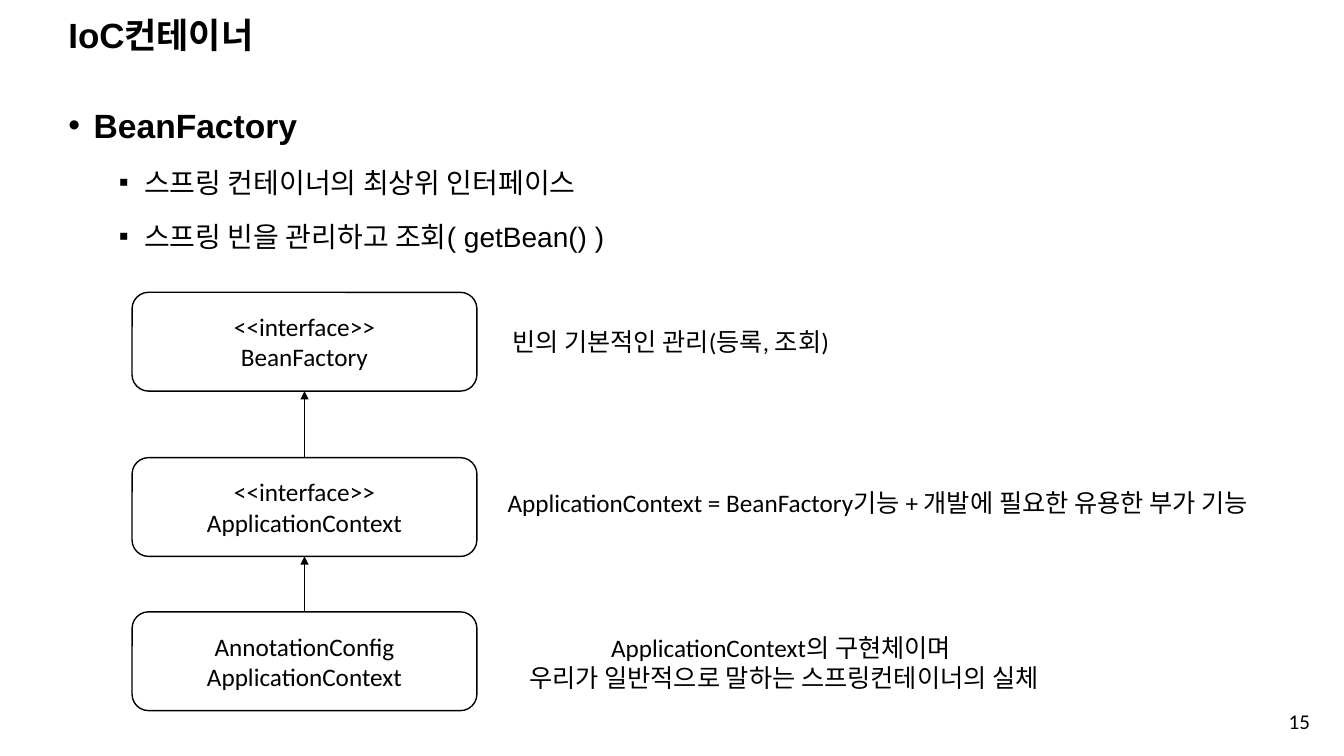
from dataclasses import dataclass

from lxml import etree
from pptx import Presentation
from pptx.dml.color import RGBColor
from pptx.enum.shapes import MSO_CONNECTOR, MSO_SHAPE
from pptx.enum.text import MSO_ANCHOR, MSO_AUTO_SIZE, PP_ALIGN
from pptx.oxml.ns import qn
from pptx.util import Emu, Pt

ROUNDED = MSO_SHAPE.ROUNDED_RECTANGLE
STRAIGHT = MSO_CONNECTOR.STRAIGHT
TOP, MIDDLE = MSO_ANCHOR.TOP, MSO_ANCHOR.MIDDLE
LEFT, CENTER, RIGHT = PP_ALIGN.LEFT, PP_ALIGN.CENTER, PP_ALIGN.RIGHT
GROW = MSO_AUTO_SIZE.SHAPE_TO_FIT_TEXT
TOP_SIDE, BOTTOM_SIDE = 0, 2
PX = 9144  # 100 px to the inch


@dataclass(frozen=True)
class Theme:
    ink: RGBColor = RGBColor(0, 0, 0)
    paper: RGBColor = RGBColor(255, 255, 255)
    heading_font: str = "Arial"
    label_font: str = "Calibri"
    title_size: int = 25
    topic_size: int = 24
    point_size: int = 20
    label_size: int = 18
    number_size: int = 15
    outline: float = 1
    arrow_line: float = 0.5


def px(*lengths):
    return [Emu(length * PX) for length in lengths]


class Page:
    def __init__(self, deck, theme):
        self.theme = theme
        self.slide = deck.slides.add_slide(deck.slide_layouts[6])
        self.shapes = self.slide.shapes
        self.slide.background.fill.solid()
        self.slide.background.fill.fore_color.rgb = theme.paper

    def add_span(self, para, text, size, font, bold=False):
        span = para.add_run()
        span.text = text
        span.font.size = Pt(size)
        span.font.name = font
        span.font.bold = bold
        span.font.color.rgb = self.theme.ink

    def write_lines(self, frame, lines, size, font, align=LEFT, bold=False):
        for index, line in enumerate(lines):
            para = frame.paragraphs[0] if index == 0 else frame.add_paragraph()
            para.alignment = align
            self.add_span(para, line, size, font, bold)

    def text_frame(self, place, anchor=TOP):
        frame = self.shapes.add_textbox(*px(*place)).text_frame
        frame.word_wrap = True
        frame.vertical_anchor = anchor
        return frame

    def title(self, place, text):
        frame = self.text_frame(place, MIDDLE)
        self.write_lines(frame, [text], self.theme.title_size,
                         self.theme.heading_font, bold=True)
        frame.paragraphs[0].line_spacing = 0.9

    def bullet(self, para, symbol, indent, hanging, space_before):
        para.line_spacing = 1.4
        para.space_before = Pt(space_before)
        properties = para._p.get_or_add_pPr()
        properties.set("marL", str(indent * PX))
        properties.set("indent", str(-hanging * PX))
        font = etree.SubElement(properties, qn("a:buFont"))
        font.set("typeface", self.theme.heading_font)
        etree.SubElement(properties, qn("a:buChar")).set("char", symbol)

    def outline(self, place, topic, points):
        """Write a bold topic with its indented points."""
        theme = self.theme
        frame = self.text_frame(place)
        para = frame.paragraphs[0]
        self.bullet(para, "•", 25, 25, 10)
        self.add_span(para, topic, theme.topic_size, theme.heading_font, True)
        for point in points:
            para = frame.add_paragraph()
            para.level = 1
            self.bullet(para, "▪", 75, 25, 5)
            self.add_span(para, point, theme.point_size, theme.heading_font)

    def type_box(self, place, lines):
        box = self.shapes.add_shape(ROUNDED, *px(*place))
        box.shadow.inherit = False
        box.fill.solid()
        box.fill.fore_color.rgb = self.theme.paper
        box.line.color.rgb = self.theme.ink
        box.line.width = Pt(self.theme.outline)
        box.text_frame.vertical_anchor = MIDDLE
        self.write_lines(box.text_frame, lines, self.theme.label_size,
                         self.theme.label_font, CENTER)
        return box

    def inherits(self, child, parent):
        """Draw an arrow from the top of child to the bottom of parent."""
        arrow = self.shapes.add_connector(STRAIGHT, 0, 0, 0, 0)
        arrow.begin_connect(child, TOP_SIDE)
        arrow.end_connect(parent, BOTTOM_SIDE)
        arrow.line.color.rgb = self.theme.ink
        arrow.line.width = Pt(self.theme.arrow_line)
        head = etree.SubElement(arrow.line._get_or_add_ln(), qn("a:tailEnd"))
        head.set("type", "triangle")
        etree.SubElement(arrow._element.spPr, qn("a:effectLst"))

    def note(self, place, lines):
        frame = self.text_frame(place)
        frame.auto_size = GROW
        self.write_lines(frame, lines, self.theme.label_size,
                         self.theme.label_font, CENTER)

    def page_number(self, place, number):
        self.write_lines(self.text_frame(place, MIDDLE), [number],
                         self.theme.number_size, self.theme.label_font, RIGHT)


def main():
    deck = Presentation()
    deck.slide_width, deck.slide_height = px(1333, 750)
    page = Page(deck, Theme())

    page.title((58, 18, 1150, 38), "IoC컨테이너")
    page.outline((58, 83, 1239, 643), "BeanFactory", [
        "스프링 컨테이너의 최상위 인터페이스",
        "스프링 빈을 관리하고 조회( getBean() )",
    ])
    page.page_number((1009, 695, 300, 40), "15")

    hierarchy = [
        (290, ["<<interface>>", "BeanFactory"]),
        (454, ["<<interface>>", "ApplicationContext"]),
        (607, ["AnnotationConfig", "ApplicationContext"]),
    ]
    boxes = [page.type_box((131, top, 342, 98), lines)
             for top, lines in hierarchy]
    for parent, child in zip(boxes, boxes[1:]):
        page.inherits(child, parent)

    notes = [
        ((484, 319, 362, 40), ["빈의 기본적인 관리(등록, 조회)"]),
        ((466, 479, 809, 40),
         ["ApplicationContext = BeanFactory기능 + 개발에 필요한 유용한 부가 기능"]),
        ((491, 622, 573, 71),
         ["ApplicationContext의 구현체이며 ",
          "우리가 일반적으로 말하는 스프링컨테이너의 실체"]),
    ]
    for place, lines in notes:
        page.note(place, lines)

    deck.save("out.pptx")


if __name__ == "__main__":
    main()
